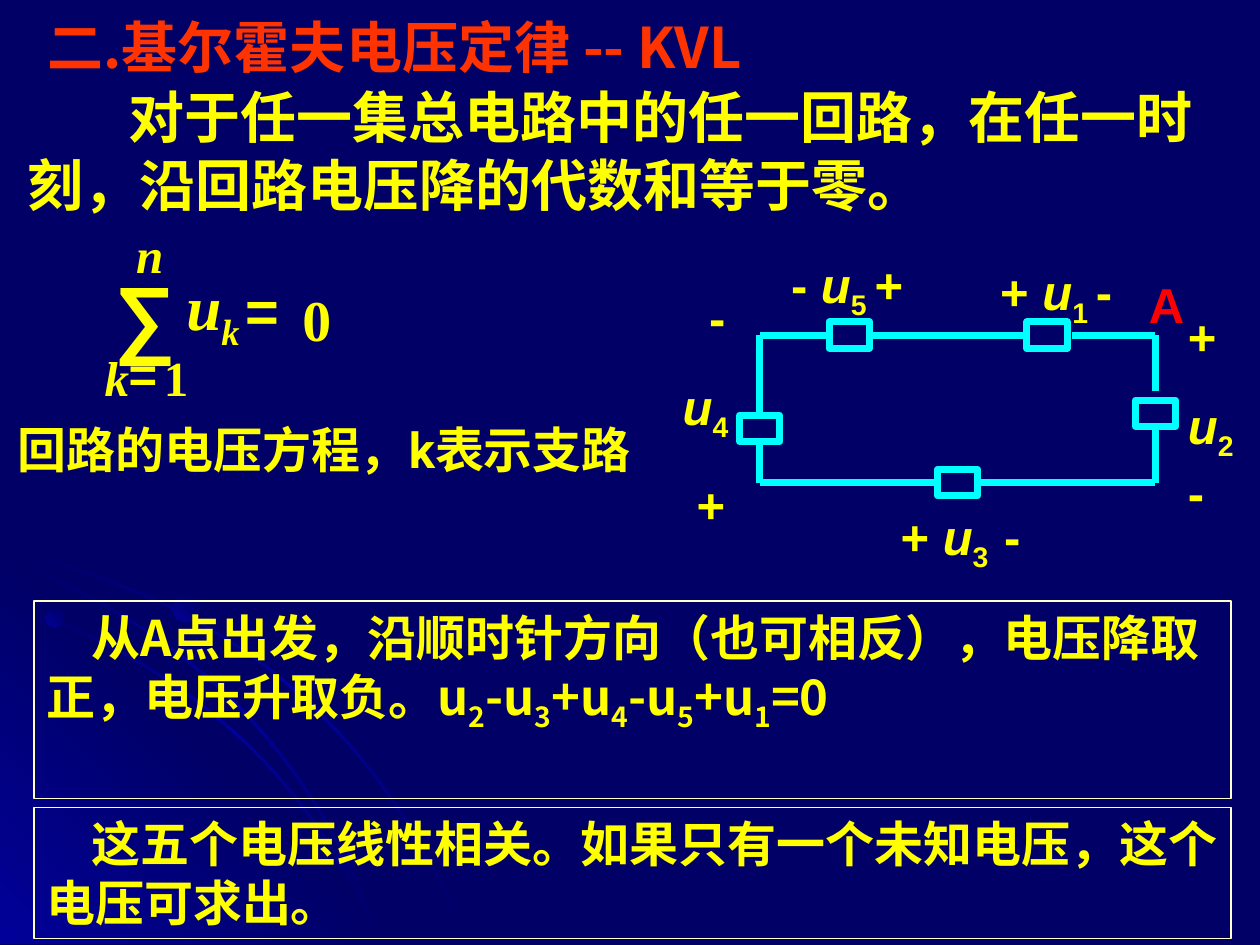
"""Build a slide on Kirchhoff's voltage law with a formula and a five-element loop."""
from copy import deepcopy
from dataclasses import dataclass

from lxml import etree
from pptx import Presentation
from pptx import util as u
from pptx.dml import color
from pptx.enum import shapes, text
from pptx.oxml import ns


@dataclass(frozen=True)
class Theme:
    navy: str = "000066"
    blue: str = "010199"
    yellow: str = "FFFF00"
    orange: str = "FF3300"
    red: str = "FF0000"
    cyan: str = "00FFFF"
    cream: str = "FFFFCC"
    large: int = 32
    body: int = 28
    sigma: int = 49
    equals: int = 33
    term: int = 36
    chinese: str = "Noto Sans CJK SC"
    latin: str = "Arial"
    serif: str = "Times New Roman"
    caption: str = "Roboto"


theme = Theme()
rgb = color.RGBColor.from_string


def write(content, left, top, width, height, size=theme.body, font=theme.latin, ink=theme.yellow,
          inset=(0.1, 0.05), wrap=True, indents=(0,), gaps=(0,), border=None):
    """Add a box of paragraphs; | splits spans, a leading / is italic and _ is subscript."""
    place = [u.Inches(value) for value in (left, top, width, height)]
    if border:
        box = page.shapes.add_shape(shapes.MSO_SHAPE.RECTANGLE, *place)
        box.shadow.inherit = False
        box.fill.background()
        box.line.color.rgb = rgb(border)
        box.line.width = u.Pt(0.75)
    else:
        box = page.shapes.add_textbox(*place)
    frame = box.text_frame
    frame.word_wrap = wrap
    frame.vertical_anchor = text.MSO_ANCHOR.TOP
    frame.margin_left = frame.margin_right = u.Inches(inset[0])
    frame.margin_top = frame.margin_bottom = u.Inches(inset[1])
    for number, line in enumerate(content.split("\n")):
        para = frame.add_paragraph() if number else frame.paragraphs[0]
        para.alignment = text.PP_ALIGN.LEFT
        para.space_before = u.Pt(gaps[number])
        para._p.get_or_add_pPr().set("indent", str(u.Inches(indents[number % len(indents)])))
        for part in line.split("|"):
            span = para.add_run()
            span.text = part.lstrip("/_")
            marks = part[:len(part) - len(span.text)]
            span.font.size = u.Pt(size)
            span.font.bold = True
            span.font.italic = "/" in marks
            span.font.color.rgb = rgb(ink)
            span.font.name = font
            properties = span._r.get_or_add_rPr()
            properties.set("lang", "zh-CN")
            etree.SubElement(properties, ns.qn("a:ea")).set("typeface", font)
            if "_" in marks:
                properties.set("baseline", "-25000")


def shade(shape, start, end, angle, middle=None):
    """Fill a decoration with a linear gradient, optionally through a middle colour."""
    shape.shadow.inherit = False
    shape.line.fill.background()
    shape.fill.gradient()
    shape.fill.gradient_angle = angle
    first, last = shape.fill.gradient_stops
    first.position, last.position = 0, 1
    first.color.rgb, last.color.rgb = rgb(start), rgb(end)
    if middle:
        stops = shape.fill._fill._gradFill.find(ns.qn("a:gsLst"))
        stops.append(deepcopy(stops[1]))
        shape.fill.gradient_stops[1].position = 0.5
        shape.fill.gradient_stops[1].color.rgb = rgb(middle)


deck = Presentation()
deck.slide_width, deck.slide_height = u.Inches(10), u.Inches(7.5)
page = deck.slides.add_slide(deck.slide_layouts[6])
page.background.fill.solid()
page.background.fill.fore_color.rgb = rgb(theme.navy)

falling, rising = 315, 45
page_bottom = 7.49
corner_size = 3.22
corner = page.shapes.add_shape(shapes.MSO_SHAPE.RIGHT_TRIANGLE, 0, u.Inches(page_bottom - corner_size),
                               u.Inches(corner_size), u.Inches(corner_size))
shade(corner, theme.blue, theme.blue, rising, middle=theme.navy)

half_band, steps = 0.01, 24
for start_y, (turn_x, turn_y), end_x in ((4.36, (2.71, 4.93), 3.71),
                                         (4.76, (2.2, 5.49), 3.02),
                                         (4.43, (2.27, 5.25), 3.02)):
    edges = []
    for shift in (-half_band, half_band):
        edge = []
        for step in range(steps + 1):
            t = step / steps
            start_weight, turn_weight, end_weight = (1 - t) ** 2, 2 * t * (1 - t), t ** 2
            x = turn_weight * (turn_x - shift) + end_weight * (end_x - shift)
            y = (start_weight * (start_y + shift) + turn_weight * (turn_y + shift)
                 + end_weight * page_bottom)
            edge.append((u.Inches(x), u.Inches(y)))
        edges.append(edge)
    upper, lower = edges
    outline = upper + lower[::-1]
    builder = page.shapes.build_freeform(*outline[0])
    builder.add_line_segments(outline[1:], close=True)
    shade(builder.convert_to_shape(), theme.navy, theme.navy, falling, middle=theme.blue)

for left, top, size, angle in ((0.36, 4.83, 0.15, rising), (2.67, 6.74, 0.16, falling),
                               (1.37, 4.73, 0.21, rising)):
    dot = page.shapes.add_shape(shapes.MSO_SHAPE.OVAL, u.Inches(left), u.Inches(top),
                                u.Inches(size), u.Inches(size))
    shade(dot, theme.blue, theme.navy, angle)

write("二.基尔霍夫电压定律 -- KVL", 0.28, 0.05, 9.72, 0.64,
      size=theme.large, font=theme.chinese, ink=theme.orange)

for symbol, left, top, width, height, size, font in (
        ("∑", 0.91, 2.08, 0.47, 0.82, theme.sigma, theme.latin),
        ("=", 1.02, 2.73, 0.31, 0.47, theme.body, theme.latin),
        ("=", 1.95, 2.18, 0.36, 0.55, theme.equals, theme.latin),
        ("/n", 1.08, 1.78, 0.22, 0.47, theme.body, theme.serif),
        ("/k", 0.83, 2.76, 0.19, 0.47, theme.body, theme.serif),
        ("/u|/_k", 1.48, 2.12, 0.53, 0.68, theme.term, theme.serif),
        ("1", 1.3, 2.76, 0.19, 0.47, theme.body, theme.serif),
        ("0", 2.4, 2.25, 0.23, 0.55, theme.equals, theme.serif)):
    write(symbol, left, top, width, height, size=size, font=font, inset=(0, 0), wrap=False)

write("回路的电压方程，k表示支路", 0.04, 3.28, 8.11, 0.57, font=theme.caption)

loop_left, loop_right, loop_top, loop_bottom = 6.03, 9.17, 2.66, 3.83
resistor_width, resistor_height = 0.32, 0.21
resistors = {}
for name, centre_x, centre_y in (("u1", 8.31, loop_top), ("u2", loop_right, 3.28),
                                 ("u3", 7.6, loop_bottom), ("u4", loop_left, 3.4),
                                 ("u5", 6.74, loop_top)):
    resistor = page.shapes.add_shape(
        shapes.MSO_SHAPE.RECTANGLE,
        u.Inches(centre_x - resistor_width / 2), u.Inches(centre_y - resistor_height / 2),
        u.Inches(resistor_width), u.Inches(resistor_height))
    resistor.shadow.inherit = False
    resistor.fill.background()
    resistor.line.color.rgb = rgb(theme.cyan)
    resistor.line.width = u.Pt(4)
    resistors[name] = resistor

top_side, left_side, bottom_side, right_side = range(4)
top_left, top_right = (loop_left, loop_top), (loop_right, loop_top)
bottom_left, bottom_right = (loop_left, loop_bottom), (loop_right, loop_bottom)
after_u1, before_u2 = (8.51, loop_top), (loop_right, 3.1)
for start, end in ((after_u1, top_right), (top_right, before_u2),
                   (("u2", bottom_side), bottom_right), (bottom_right, ("u3", right_side)),
                   (("u3", left_side), bottom_left), (bottom_left, ("u4", bottom_side)),
                   (("u4", top_side), top_left), (top_left, ("u5", left_side)),
                   (("u5", right_side), ("u1", left_side))):
    wire = page.shapes.add_connector(shapes.MSO_CONNECTOR.STRAIGHT, 0, 0, 0, 0)
    wire.line.color.rgb = rgb(theme.cyan)
    wire.line.width = u.Pt(4)
    etree.SubElement(wire._element.spPr, ns.qn("a:effectLst"))
    if start[0] in resistors:
        wire.begin_connect(resistors[start[0]], start[1])
    else:
        wire.begin_x, wire.begin_y = u.Inches(start[0]), u.Inches(start[1])
    if end[0] in resistors:
        wire.end_connect(resistors[end[0]], end[1])
    else:
        wire.end_x, wire.end_y = u.Inches(end[0]), u.Inches(end[1])

for label, left, top in (("+ |/u|_3  |-", 7.05, 3.97), ("- |/u|_5 |+", 6.18, 1.97),
                         ("+ |/u|_1 |-", 7.84, 2.03)):
    write(label, left, top, 1.34, 0.63)
write("-\n/u|_4\n+", 5.32, 2.23, 1.02, 2.05, indents=(0.21, 0, 0.11), gaps=(0, 17.5, 17.5))
write("+\n/u|_2\n-", 9.33, 2.38, 0.63, 1.81, gaps=(0, 17.5, 0))
write("A", 9.02, 2.13, 0.47, 0.57, ink=theme.red)

for content, top, height in (
        ("从A点出发，沿顺时针方向（也可相反），电压降取正，电压升取负。"
         "u|_2|-u|_3|+u|_4|-u|_5|+u|_1|=0", 4.77, 1.57),
        ("这五个电压线性相关。如果只有一个未知电压，这个电压可求出。", 6.41, 1.04)):
    write(content, 0.27, top, 9.5, height, font=theme.chinese, indents=(0.36,), border=theme.cream)
write("对于任一集总电路中的任一回路，在任一时刻，沿回路电压降的代数和等于零。",
      0.12, 0.61, 9.88, 1.17, size=theme.large, font=theme.chinese, indents=(0.8,))

deck.save("out.pptx")
